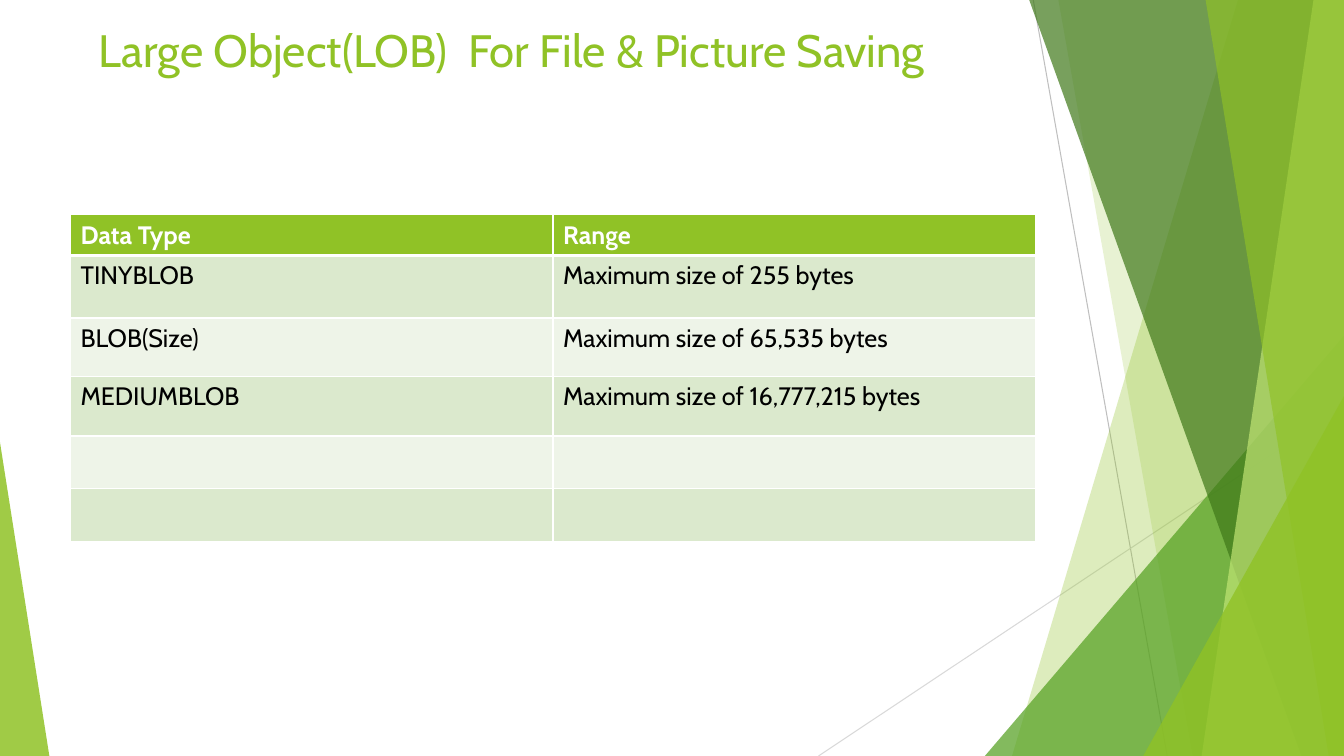
from dataclasses import dataclass

from lxml.etree import SubElement as Sub
from pptx import Presentation
from pptx.dml.color import RGBColor as Rgb
from pptx.enum.shapes import MSO_CONNECTOR as Link, MSO_SHAPE as Form
from pptx.enum.text import MSO_ANCHOR as Anchor, MSO_AUTO_SIZE as Fit, PP_ALIGN as Align
from pptx.oxml.ns import qn
from pptx.shapes.autoshape import Shape
from pptx.slide import Slide
from pptx.table import _Cell as Cell
from pptx.text.text import TextFrame as Frame
from pptx.util import Inches, Pt

WIDE, HIGH = Inches(13.33), Inches(7.5)
FONT = "Cabin"
LIME = Rgb(0x90, 0xC2, 0x26)
GREEN = Rgb(0x54, 0xA0, 0x21)
MOSS = Rgb(0x3F, 0x78, 0x19)
PALE = Rgb(0xC0, 0xE4, 0x74)
GREY = Rgb(0xBF, 0xBF, 0xBF)
SILVER = Rgb(0xD9, 0xD9, 0xD9)
MINT = Rgb(0xDB, 0xE9, 0xCD)
MIST = Rgb(0xEE, 0xF4, 0xE8)
WHITE = Rgb(0xFF, 0xFF, 0xFF)
BLACK = Rgb(0, 0, 0)


@dataclass
class Ray:
    """A thin line, its ends in percent of the slide."""
    start: tuple[float, float]
    end: tuple[float, float]
    color: Rgb


@dataclass
class Band:
    """A full-height band from a slanted left edge to the right side."""
    head: float
    foot: float
    color: Rgb
    alpha: int


@dataclass
class Peak:
    """A right triangle that stands on the bottom edge."""
    left: float
    top: float
    width: float
    tip: int
    color: Rgb
    alpha: int


RAYS = [
    Ray((76.88, 0), (86.85, 100), GREY),
    Ray((100, 53.73), (60.9, 100), SILVER),
]
FACETS = [
    Band(92.11, 75.3, LIME, 30),
    Band(78.75, 88.73, LIME, 20),
    Peak(73.28, 44.4, 26.72, 1, GREEN, 72),
    Band(76.58, 96.83, MOSS, 70),
    Band(97.73, 89.41, PALE, 70),
    Band(89.7, 98.86, LIME, 65),
    Peak(85.06, 52.4, 14.94, 1, LIME, 80),
    Peak(0, 58.53, 3.67, 0, LIME, 85),
]
ROWS = [
    (5.2, "Data Type", "Range"),
    (8.27, "TINYBLOB", "Maximum size of 255 bytes"),
    (7.73, "BLOB(Size)", "Maximum size of 65,535 bytes"),
    (7.87, "MEDIUMBLOB", "Maximum size of 16,777,215 bytes"),
    (6.93, "", ""),
    (7.07, "", ""),
]


def across(part: float) -> int:
    """Turn a percent of the slide width into a length."""
    return round(WIDE * part / 100)


def down(part: float) -> int:
    """Turn a percent of the slide height into a length."""
    return round(HIGH * part / 100)


def write(frame: Frame, text: str, size: float, color: Rgb, bold: bool = False) -> None:
    """Add one formatted run to the first paragraph."""
    line = frame.paragraphs[0]
    line.alignment = Align.LEFT
    run = line.add_run()
    run.text = text
    font = run.font
    font.name, font.size, font.bold = FONT, Pt(size), bold
    font.color.rgb = color


def tint(shape: Shape, color: Rgb, alpha: int) -> None:
    """Give a shape a clear fill with no line or shadow."""
    shape.shadow.inherit = False
    shape.line.fill.background()
    shape.fill.solid()
    shape.fill.fore_color.rgb = color
    tone = shape._element.spPr.find(qn("a:solidFill")).find(qn("a:srgbClr"))
    Sub(tone, qn("a:alpha"), val=str(alpha * 1000))


def draw_ray(slide: Slide, ray: Ray) -> None:
    """Draw a thin line."""
    (left, top), (right, foot) = ray.start, ray.end
    line = slide.shapes.add_connector(
        Link.STRAIGHT, across(left), down(top), across(right), down(foot))
    line.line.color.rgb = ray.color
    line.line.width = Pt(0.75)
    Sub(line._element.spPr, qn("a:effectLst"))


def draw_facet(slide: Slide, facet: Band | Peak) -> None:
    """Draw a band or a triangle."""
    if isinstance(facet, Band):
        pen = slide.shapes.build_freeform(across(facet.head), 0)
        pen.add_line_segments([(WIDE, 0), (WIDE, HIGH), (across(facet.foot), HIGH)])
        shape = pen.convert_to_shape()
    else:
        shape = slide.shapes.add_shape(
            Form.ISOSCELES_TRIANGLE, across(facet.left), down(facet.top),
            across(facet.width), down(100 - facet.top))
        shape.adjustments[0] = facet.tip
    tint(shape, facet.color, facet.alpha)


def set_title(slide: Slide, text: str) -> None:
    """Place and format the title."""
    title = slide.shapes.title
    title.left, title.top = across(6.6), down(2.27)
    title.width, title.height = across(70.5), down(9.6)
    frame = title.text_frame
    frame.auto_size, frame.word_wrap = Fit.NONE, True
    frame.vertical_anchor = Anchor.TOP
    write(frame, text, 32.4, LIME)


def edge(cell: Cell, top: int, foot: int) -> None:
    """Add white borders to a cell, widths in points."""
    props = cell._tc.get_or_add_tcPr()
    for side, width in zip("LRTB", (1, 1, top, foot)):
        line = Sub(props, qn(f"a:ln{side}"), w=str(Pt(width)))
        Sub(Sub(line, qn("a:solidFill")), qn("a:srgbClr"), val=str(WHITE))


def add_grid(slide: Slide) -> None:
    """Build the table of data types."""
    high = sum(row[0] for row in ROWS)
    grid = slide.shapes.add_table(
        len(ROWS), 2, across(5.25), down(28.4), across(71.8), down(high)).table
    for i, (tall, *words) in enumerate(ROWS):
        grid.rows[i].height = down(tall)
        head = i == 0
        for j, word in enumerate(words):
            cell = grid.cell(i, j)
            edge(cell, 3 if i == 1 else 1, 3 if head else 1)
            cell.fill.solid()
            cell.fill.fore_color.rgb = LIME if head else MINT if i % 2 else MIST
            if word:
                write(cell.text_frame, word, 18, WHITE if head else BLACK, head)


def main() -> None:
    """Build and save the slide."""
    deck = Presentation()
    deck.slide_width, deck.slide_height = WIDE, HIGH
    slide = deck.slides.add_slide(deck.slide_layouts.get_by_name("Title Only"))
    for ray in RAYS:
        draw_ray(slide, ray)
    for facet in FACETS:
        draw_facet(slide, facet)
    set_title(slide, "Large Object(LOB)  For File & Picture Saving")
    add_grid(slide)
    deck.save("out.pptx")


if __name__ == "__main__":
    main()
